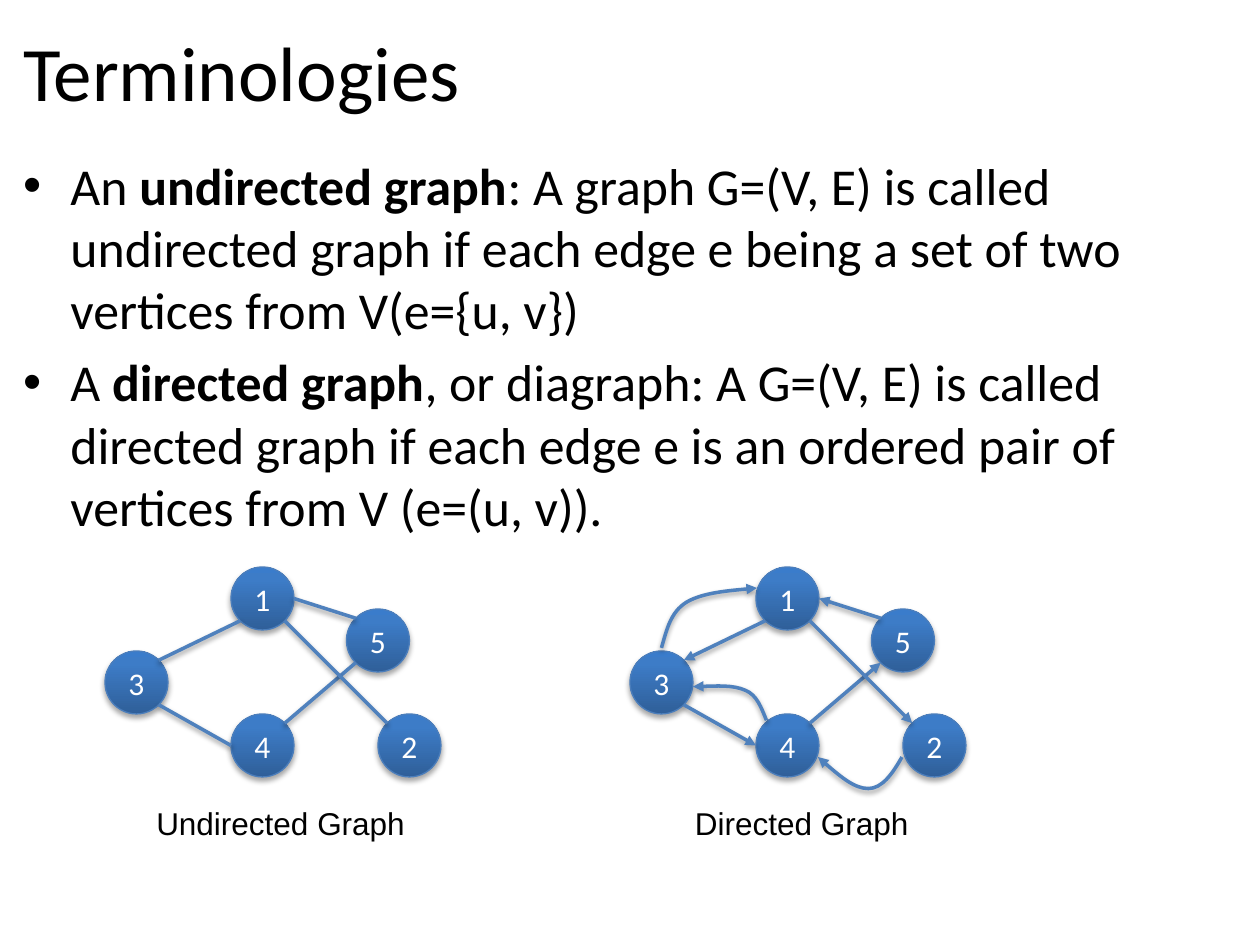
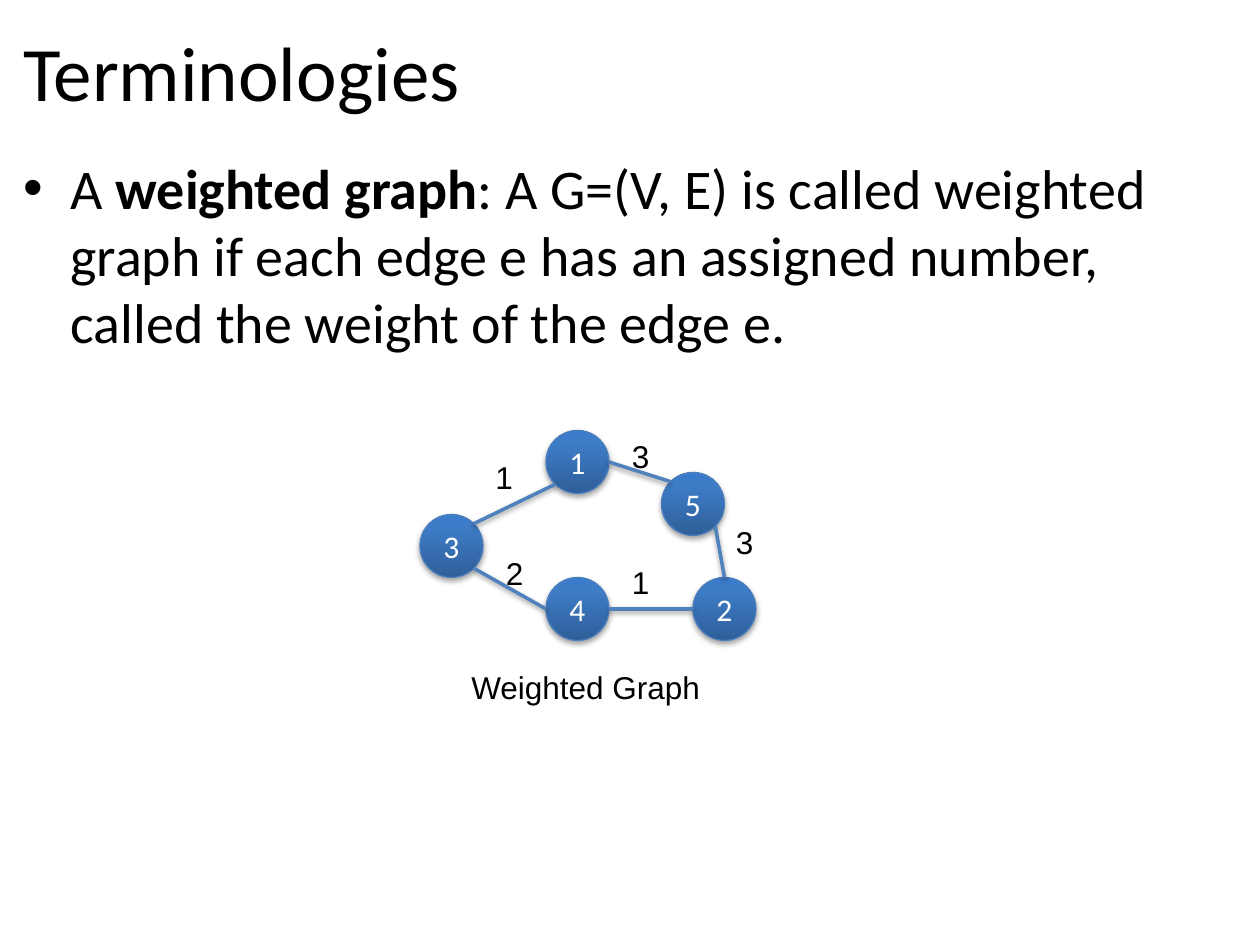
from copy import deepcopy
from math import cos, radians, sin

from lxml import etree
from pptx import Presentation
from pptx.dml.color import RGBColor
from pptx.enum.shapes import MSO_CONNECTOR, MSO_SHAPE
from pptx.enum.text import MSO_ANCHOR, MSO_AUTO_SIZE, PP_ALIGN
from pptx.oxml.ns import qn
from pptx.util import Inches, Pt

OVAL, STRAIGHT = MSO_SHAPE.OVAL, MSO_CONNECTOR.STRAIGHT
LEFT, CENTER, MIDDLE = PP_ALIGN.LEFT, PP_ALIGN.CENTER, MSO_ANCHOR.MIDDLE
NO_FIT, GROW = MSO_AUTO_SIZE.NONE, MSO_AUTO_SIZE.SHAPE_TO_FIT_TEXT

COLORS = {
    "text": "000000", "node_text": "FFFFFF", "shadow": "000000",
    "node_line": "4B7EBC", "edge": "4F81BD",
    "dark": "2F5F99", "mid": "3D7CC7", "light": "3A7CCB",
}
RGB = {name: RGBColor.from_string(value) for name, value in COLORS.items()}
GRADIENT = [(0, "dark"), (0.8, "mid"), (1, "light")]

prs = Presentation()
prs.slide_width, prs.slide_height = Inches(10), Inches(7.5)
CELL = prs.slide_width / 120

TITLE_BOX = (1, 1, 117, 11.4)
NODE = 6
NODES = {"1": (12, 0), "4": (12, 14), "5": (23, 4), "3": (0, 8), "2": (26, 14)}
SITES = {"E": 0, "SE": 45, "SW": 135, "W": 180, "NW": 225, "N": 270, "NE": 315}
EDGES = [
    ("1", "SW", "3", "NE"), ("3", "SE", "4", "W"), ("4", "NE", "5", "SW"),
    ("1", "SE", "2", "NW"), ("5", "NW", "1", "E"),
]
RING = EDGES[:2] + [("4", "E", "2", "W"), ("5", "SE", "2", "N")] + EDGES[4:]
CURVES = [
    [(3, 7.7), (3.5, 6), (3.85, 4.3), (5.4, 3.35), (7, 2.4), (12.1, 2), (12.1, 2)],
    [(13, 14.6), (12.5, 13.4), (12.1, 12.2), (11, 11.75), (9.8, 11.2), (6, 11.4), (6, 11.4)],
    [(25.9, 18.1), (25, 19.7), (24, 21.1), (22.7, 21.1), (21.4, 21.1), (19.7, 19.7), (17.9, 18.1)],
]
WEIGHTS = [("1", 6, 2), ("2", 7, 11.2), ("3", 19, 0), ("1", 19, 12), ("3", 28.9, 8.2)]

SLIDES = [
    {
        "body_height": 37, "size": 29.6,
        "items": [
            ("An ", "undirected graph", ": A graph G=(V, E) is called undirected graph "
             "if each edge e being a set of two vertices from V(e={u, v})"),
            ("A ", "directed graph", ", or diagraph: A G=(V, E) is called directed graph "
             "if each edge e is an ordered pair of vertices from V (e=(u, v))."),
        ],
        "graphs": [
            {"at": (10, 54), "edges": EDGES, "arrows": False, "curves": [],
             "labels": [("Undirected Graph", 3.7, 22, 26.3)]},
            {"at": (60, 54), "edges": EDGES, "arrows": True, "curves": CURVES,
             "labels": [("Directed Graph", 5, 22, 22.9)]},
        ],
    },
    {
        "body_height": 25, "size": 32,
        "items": [
            ("A ", "weighted graph", ": A G=(V, E) is called weighted graph if each edge e "
             "has an assigned number, called the weight of the edge e."),
        ],
        "graphs": [
            {"at": (40, 41), "edges": RING, "arrows": False, "curves": [],
             "labels": [("Weighted Graph", 3.7, 22, 25.3)] + [(*w, 4.1) for w in WEIGHTS]},
        ],
    },
]


def cells(*values):
    return [round(v * CELL) for v in values]


def finish(sp, color, width, alpha, distance, arrow=False):
    sp.line.color.rgb, sp.line.width = RGB[color], Pt(width)
    spPr = sp._element.spPr
    if arrow:
        etree.SubElement(spPr.find(qn("a:ln")), qn("a:tailEnd"), type="triangle")
    effects = etree.SubElement(spPr, qn("a:effectLst"))
    shadow = etree.SubElement(effects, qn("a:outerShdw"), blurRad=str(Pt(3.1)),
                              dist=str(Pt(distance)), dir="5400000", rotWithShape="0")
    tint = etree.SubElement(shadow, qn("a:srgbClr"), val=COLORS["shadow"])
    etree.SubElement(tint, qn("a:alpha"), val=str(alpha * 1000))


for page in SLIDES:
    s = prs.slides.add_slide(prs.slide_layouts[1])
    title, body = s.placeholders
    body_box = (1, 14, 117, page["body_height"])
    for sp, box in ((title, TITLE_BOX), (body, body_box)):
        sp.left, sp.top, sp.width, sp.height = cells(*box)
        sp.text_frame.auto_size = NO_FIT

    p = title.text_frame.paragraphs[0]
    p.alignment = LEFT
    r = p.add_run()
    r.text = "Terminologies"
    for key, value in {"name": "Calibri", "size": Pt(44)}.items():
        setattr(r.font, key, value)
    r.font.color.rgb = RGB["text"]

    tf = body.text_frame
    for i, item in enumerate(page["items"]):
        p = tf.paragraphs[0] if i == 0 else tf.add_paragraph()
        for j, text in enumerate(item):
            r = p.add_run()
            r.text = text
            for key, value in {"name": "Calibri", "size": Pt(page["size"]), "bold": j == 1}.items():
                setattr(r.font, key, value)
            r.font.color.rgb = RGB["text"]

    for graph in page["graphs"]:
        x0, y0 = graph["at"]
        shapes = s.shapes.add_group_shape().shapes

        for name, (x, y) in NODES.items():
            sp = shapes.add_shape(OVAL, *cells(x0 + x, y0 + y, NODE, NODE))
            sp.fill.gradient()
            sp.fill.gradient_angle = 90
            stops = sp._element.spPr.find(".//" + qn("a:gsLst"))
            stops.append(deepcopy(stops[0]))
            for stop, (position, color) in zip(sp.fill.gradient_stops, GRADIENT):
                stop.position, stop.color.rgb = position, RGB[color]
            finish(sp, "node_line", 0.75, 35, 1.8)
            tf = sp.text_frame
            tf.vertical_anchor = MIDDLE
            for side in ("left", "top", "right", "bottom"):
                setattr(tf, "margin_" + side, 0)
            p = tf.paragraphs[0]
            p.alignment = CENTER
            r = p.add_run()
            r.text = name
            for key, value in {"name": "Calibri", "size": Pt(18)}.items():
                setattr(r.font, key, value)
            r.font.color.rgb = RGB["node_text"]

        for start, start_site, end, end_site in graph["edges"]:
            ends = []
            for name, site in ((start, start_site), (end, end_site)):
                x, y = NODES[name]
                angle = radians(SITES[site])
                ends += [x0 + x + NODE / 2 * (1 + cos(angle)),
                         y0 + y + NODE / 2 * (1 + sin(angle))]
            line = shapes.add_connector(STRAIGHT, *cells(*ends))
            finish(line, "edge", 2, 38, 1.6, graph["arrows"])

        for curve in graph["curves"]:
            points = [cells(x0 + x, y0 + y) for x, y in curve]
            builder = shapes.build_freeform(*points[0])
            builder.add_line_segments(points[1:], close=False)
            sp = builder.convert_to_shape()
            sp.fill.background()
            outline = sp._element.spPr.find(".//" + qn("a:path"))
            segments = outline.findall(qn("a:lnTo"))
            for i in range(0, len(segments), 3):
                bezier = etree.SubElement(outline, qn("a:cubicBezTo"))
                for segment in segments[i:i + 3]:
                    bezier.append(segment[0])
                    outline.remove(segment)
            finish(sp, "edge", 2, 38, 1.6, True)

        for text, x, y, width in graph["labels"]:
            tf = shapes.add_textbox(*cells(x0 + x, y0 + y, width, 4.8)).text_frame
            tf.word_wrap, tf.auto_size = False, GROW
            r = tf.paragraphs[0].add_run()
            r.text = text
            for key, value in {"name": "Arial", "size": Pt(18)}.items():
                setattr(r.font, key, value)
            r.font.color.rgb = RGB["text"]

prs.save("out.pptx")
